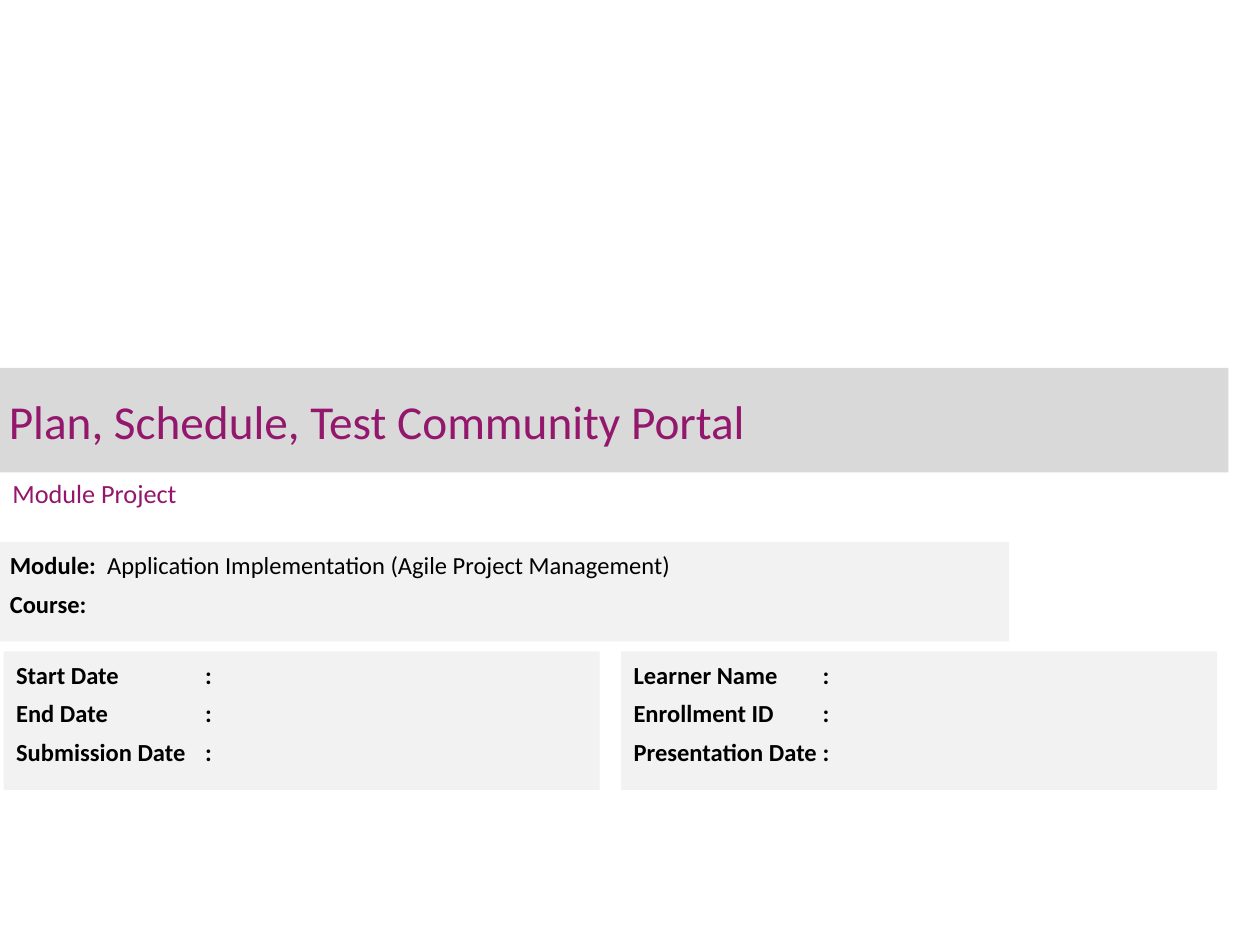
from dataclasses import dataclass

from lxml import etree
from pptx import Presentation
from pptx.dml.color import RGBColor
from pptx.enum.shapes import MSO_SHAPE
from pptx.enum.text import MSO_ANCHOR, PP_ALIGN
from pptx.oxml.ns import qn
from pptx.util import Inches, Pt

RECTANGLE = MSO_SHAPE.RECTANGLE
TOP, MIDDLE = MSO_ANCHOR.TOP, MSO_ANCHOR.MIDDLE
LEFT = PP_ALIGN.LEFT


@dataclass(frozen=True)
class Theme:
    font: str = "Calibri"
    accent: RGBColor = RGBColor(0x93, 0x17, 0x6C)
    ink: RGBColor = RGBColor(0, 0, 0)
    band: RGBColor = RGBColor(0xD9, 0xD9, 0xD9)
    panel: RGBColor = RGBColor(0xF2, 0xF2, 0xF2)
    title_size: int = 27
    subtitle_size: int = 15
    body_size: int = 14


@dataclass(frozen=True)
class Box:
    left: float
    top: float
    width: float
    height: float

    def lengths(self) -> list:
        return [Inches(n) for n in (self.left, self.top, self.width, self.height)]


@dataclass(frozen=True)
class Line:
    label: str
    value: str = ""


@dataclass(frozen=True)
class Panel:
    box: Box
    lines: tuple[Line, ...]


THEME = Theme()
COLON_TAB = 1.5
TITLE_BOX = Box(0, 2.92, 9.75, 0.83)
SUBTITLE_BOX = Box(0, 3.6, 6.42, 0.62)
DETAILS_LEFT, DETAILS_STEP = 0.03, 4.9
DETAILS = (
    ("Start Date", "End Date", "Submission Date"),
    ("Learner Name", "Enrollment ID", "Presentation Date"),
)


def add_bar(slide, box: Box, color: RGBColor):
    bar = slide.shapes.add_shape(RECTANGLE, *box.lengths())
    bar.shadow.inherit = False
    bar.fill.solid()
    bar.fill.fore_color.rgb = color
    bar.line.fill.background()
    return bar


def write_text(shape, lines: tuple[Line, ...], *, size: int, color: RGBColor,
               bold: bool = False, anchor=MIDDLE, inset: tuple[float, float] = (0.1, 0.05),
               line_height: int | None = None, gap: int = 0, tab: float | None = None) -> None:
    frame = shape.text_frame
    frame.word_wrap = True
    frame.vertical_anchor = anchor
    frame.margin_left = frame.margin_right = Inches(inset[0])
    frame.margin_top = frame.margin_bottom = Inches(inset[1])
    for index, line in enumerate(lines):
        paragraph = frame.add_paragraph() if index else frame.paragraphs[0]
        paragraph.alignment = LEFT
        paragraph.space_before = paragraph.space_after = Pt(gap)
        if line_height:
            paragraph.line_spacing = Pt(line_height)
        for content, is_bold in ((line.label, bold), (line.value, False)):
            if content:
                run = paragraph.add_run()
                run.text = content
                run.font.name = THEME.font
                run.font.size = Pt(size)
                run.font.bold = is_bold
                run.font.color.rgb = color
        if tab:
            stops = etree.SubElement(paragraph._p.get_or_add_pPr(), qn("a:tabLst"))
            etree.SubElement(stops, qn("a:tab"), pos=str(Inches(tab)), algn="l")


def add_panel(slide, panel: Panel) -> None:
    write_text(add_bar(slide, panel.box, THEME.panel), panel.lines,
               size=THEME.body_size, color=THEME.ink, bold=True, anchor=TOP,
               line_height=18, gap=2, tab=COLON_TAB)


def main() -> None:
    deck = Presentation()
    deck.slide_width, deck.slide_height = Inches(10), Inches(7.5)
    slide = deck.slides.add_slide(deck.slide_layouts[6])

    title = add_bar(slide, TITLE_BOX, THEME.band)
    write_text(title, (Line("Plan, Schedule, Test Community Portal"),),
               size=THEME.title_size, color=THEME.accent, inset=(0.07, 0.04))
    subtitle = slide.shapes.add_textbox(*SUBTITLE_BOX.lengths())
    write_text(subtitle, (Line("Module Project"),),
               size=THEME.subtitle_size, color=THEME.accent)

    module = Panel(Box(-0.02, 4.3, 8.03, 0.79), (
        Line("Module:  ", "Application Implementation (Agile Project Management)"),
        Line("Course: "),
    ))
    details = [
        Panel(Box(DETAILS_LEFT + column * DETAILS_STEP, 5.17, 4.73, 1.1),
              tuple(Line(f"{label}\t:") for label in labels))
        for column, labels in enumerate(DETAILS)
    ]
    for panel in (module, *details):
        add_panel(slide, panel)

    deck.save("out.pptx")


main()
